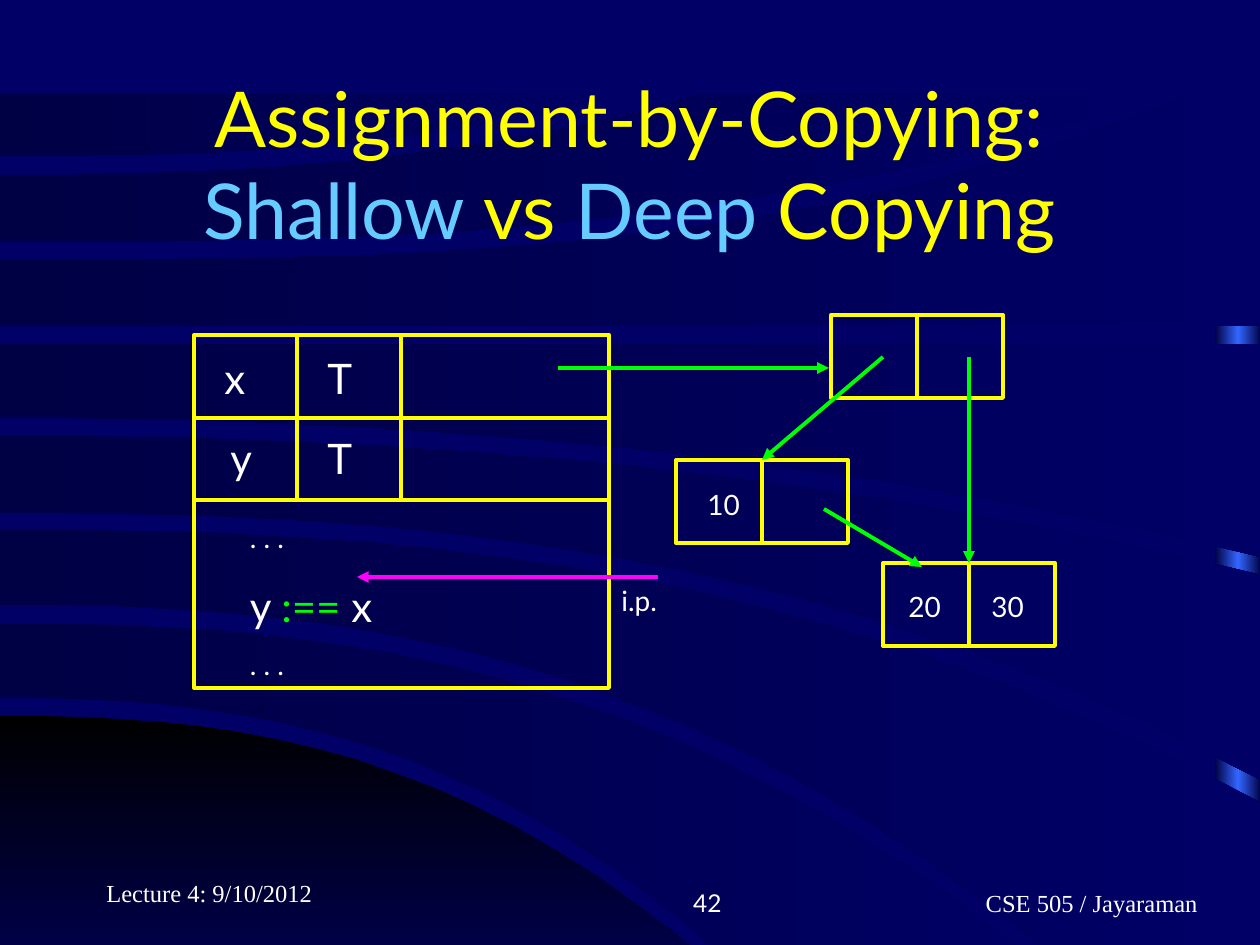
from copy import deepcopy
from dataclasses import dataclass

from pptx import Presentation
from pptx.dml.color import RGBColor
from pptx.enum.shapes import MSO_CONNECTOR, MSO_SHAPE
from pptx.enum.text import MSO_ANCHOR, MSO_AUTO_SIZE, PP_ALIGN
from pptx.oxml.ns import qn
from pptx.oxml.xmlchemy import OxmlElement
from pptx.util import Emu, Pt

EMU_PER_PX = 914400 / 126


def px(length):
    return Emu(round(length * EMU_PER_PX))


@dataclass(frozen=True)
class Theme:
    night: str = "000066"
    dusk: str = "000044"
    glow: str = "3366FF"
    black: str = "000000"
    white: str = "FFFFFF"
    yellow: str = "FFFF00"
    sky: str = "66CCFF"
    green: str = "00FF00"
    magenta: str = "FF00FF"
    sans: str = "Lato"
    serif: str = "Times New Roman"
    title: int = 44
    code: int = 24
    label: int = 16
    footer: int = 14
    stroke: float = 2.25


@dataclass(frozen=True)
class Edge:
    start_y: int
    end_x: int
    end_y: int
    power: float = 2.5

    def points(self, steps=20):
        rise = self.end_y - self.start_y
        return [(round(self.end_x * step / steps),
                 round(self.start_y + rise * (step / steps) ** self.power))
                for step in range(steps + 1)]


DISC = (Edge(716, 793, 1042), Edge(1042, 793, 1042))
BANDS = [
    (Edge(624, 1126, 1040), Edge(698, 810, 1040)),
    (Edge(530, 1261, 803), Edge(605, 1147, 1040)),
    (Edge(436, 1261, 575, 2.2), Edge(513, 1261, 780)),
    (Edge(344, 1261, 344), Edge(418, 1261, 557, 2.2)),
    (Edge(260, 1189, 94, 3), Edge(326, 1261, 326)),
    (Edge(175, 702, 94), Edge(242, 1157, 94, 2.8)),
    (Edge(94, 632, 94), Edge(156, 632, 94)),
]


class SlideBuilder:
    def __init__(self, page, theme):
        self.page = page
        self.theme = theme
        self.shapes = page.shapes

    def background(self, color):
        fill = self.page.background.fill
        fill.solid()
        fill.fore_color.rgb = RGBColor.from_string(color)

    def gradient(self, shape, colors, angle=0):
        shape.shadow.inherit = False
        shape.line.fill.background()
        shape.fill.gradient()
        shape.fill.gradient_angle = angle
        stop_list = shape._element.spPr.find(".//" + qn("a:gsLst"))
        while len(stop_list) < len(colors):
            stop_list.append(deepcopy(stop_list[0]))
        for index, (stop, color) in enumerate(zip(shape.fill.gradient_stops, colors)):
            stop.position = index / (len(colors) - 1)
            stop.color.rgb = RGBColor.from_string(color)

    def rectangle(self, left, top, width, height):
        shape = self.shapes.add_shape(
            MSO_SHAPE.RECTANGLE, px(left), px(top), px(width), px(height))
        shape.shadow.inherit = False
        return shape

    def strip(self, left, top, width, height, colors):
        self.gradient(self.rectangle(left, top, width, height), colors)

    def band(self, upper, lower, colors, angle=0):
        narrow, wide = sorted((upper, lower), key=lambda edge: edge.end_x)
        corner = (wide.end_x, narrow.end_y)
        points = upper.points() + [corner] + lower.points()[::-1]
        builder = self.shapes.build_freeform(*points[0], scale=EMU_PER_PX)
        builder.add_line_segments(points[1:], close=True)
        self.gradient(builder.convert_to_shape(), colors, angle)

    def frame(self, left, top, width, height):
        shape = self.rectangle(left, top, width, height)
        shape.fill.background()
        shape.line.color.rgb = RGBColor.from_string(self.theme.yellow)
        shape.line.width = Pt(self.theme.stroke)
        return shape

    def line(self, start, end, color, arrow=False):
        connector = self.shapes.add_connector(
            MSO_CONNECTOR.STRAIGHT, px(start[0]), px(start[1]), px(end[0]), px(end[1]))
        connector.line.color.rgb = RGBColor.from_string(color)
        connector.line.width = Pt(self.theme.stroke)
        if arrow:
            tail = OxmlElement("a:tailEnd")
            tail.set("type", "triangle")
            connector.line._get_or_add_ln().append(tail)
        connector._element.spPr.append(OxmlElement("a:effectLst"))
        return connector

    def pair(self, left, top, width=172, height=83):
        frame = self.frame(left, top, width, height)
        middle = left + width // 2
        divider = self.line((middle, top), (middle, top + height), self.theme.yellow)
        divider.begin_connect(frame, 0)
        divider.end_connect(frame, 2)
        return frame

    def add_span(self, para, text, size, color, font):
        span = para.add_run()
        span.text = text
        span.font.size = Pt(size)
        span.font.name = font
        span.font.color.rgb = RGBColor.from_string(color)

    def title(self, left, top, width, height, lines):
        box = self.shapes.title
        self.shapes._spTree.append(box._element)
        box.left, box.top, box.width, box.height = map(px, (left, top, width, height))
        box.text_frame.auto_size = MSO_AUTO_SIZE.NONE
        box.text_frame.vertical_anchor = MSO_ANCHOR.MIDDLE
        para = box.text_frame.paragraphs[0]
        para.alignment = PP_ALIGN.CENTER
        for index, spans in enumerate(lines):
            if index:
                para.add_line_break()
            for text, color in spans:
                self.add_span(para, text, self.theme.title, color, self.theme.sans)

    def text(self, left, top, width, height, lines, font=None, align=PP_ALIGN.LEFT,
             anchor=MSO_ANCHOR.TOP, inset=None):
        box = self.shapes.add_textbox(px(left), px(top), px(width), px(height))
        frame = box.text_frame
        frame.word_wrap = True
        frame.vertical_anchor = anchor
        if inset is not None:
            frame.margin_left = px(inset)
        for index, (size, spans) in enumerate(lines):
            para = frame.add_paragraph() if index else frame.paragraphs[0]
            para.alignment = align
            if index:
                para.space_before = Pt(15 if size == self.theme.code else 10)
            for text, color in spans:
                self.add_span(para, text, size, color, font or self.theme.sans)

    def label(self, left, top, width, height, text, size, **options):
        self.text(left, top, width, height, [(size, [(text, self.theme.white)])], **options)


def main():
    deck = Presentation()
    deck.slide_width, deck.slide_height = px(1260), px(945)
    page = deck.slides.add_slide(deck.slide_layouts[5])
    theme = Theme()
    slide = SlideBuilder(page, theme)

    slide.background(theme.night)
    slide.strip(1215, 97, 46, 945, [theme.dusk, theme.glow, theme.dusk])
    slide.band(*DISC, [theme.black, theme.night], angle=270)
    for upper, lower in BANDS:
        slide.band(upper, lower, [theme.dusk, theme.night])

    bottom = MSO_ANCHOR.BOTTOM
    slide.label(829, 861, 399, 63, "CSE 505 / Jayaraman", theme.footer,
                font=theme.serif, align=PP_ALIGN.CENTER, anchor=bottom, inset=139)
    slide.label(472, 861, 262, 63, "42", theme.footer, align=PP_ALIGN.RIGHT, anchor=bottom)
    slide.label(94, 851, 262, 63, "Lecture 4: 9/10/2012", theme.footer,
                font=theme.serif, anchor=bottom)

    slide.title(94, 84, 1071, 158, [
        [("Assignment-by-Copying:", theme.yellow)],
        [("Shallow", theme.sky), (" vs ", theme.yellow),
         ("Deep", theme.sky), (" Copying", theme.yellow)],
    ])

    slide.frame(194, 335, 415, 353)
    for row in (418, 500):
        slide.line((194, row), (609, row), theme.yellow)
    for column in (297, 401):
        slide.line((column, 335), (column, 500), theme.yellow)
    for top, name, left in ((346, "x", 212), (426, "y", 218)):
        slide.label(left, top, 86, 63, name, theme.code)
        slide.label(315, top, 86, 63, "T", theme.code)
    dots = (theme.label, [(". . .", theme.white)])
    assignment = (theme.code, [("y ", theme.white), (":==", theme.green), (" x", theme.white)])
    slide.text(212, 514, 328, 174, [dots, assignment, dots], inset=38)

    slide.pair(831, 315)
    left_pair = slide.pair(676, 460)
    right_pair = slide.pair(883, 563)
    for left, top, text in ((695, 481, "10"), (896, 583, "20"), (979, 583, "30")):
        slide.label(left, top, 87, 47, text, theme.label)

    slide.line((883, 357), (762, 460), theme.green, arrow=True).end_connect(left_pair, 0)
    slide.line((969, 357), (969, 563), theme.green, arrow=True).end_connect(right_pair, 0)
    slide.line((824, 509), (922, 567), theme.green, arrow=True)
    slide.line((558, 368), (829, 368), theme.green, arrow=True)
    slide.line((658, 577), (357, 577), theme.magenta, arrow=True)
    slide.label(609, 577, 132, 47, "i.p.", theme.label)

    deck.save("out.pptx")


if __name__ == "__main__":
    main()
